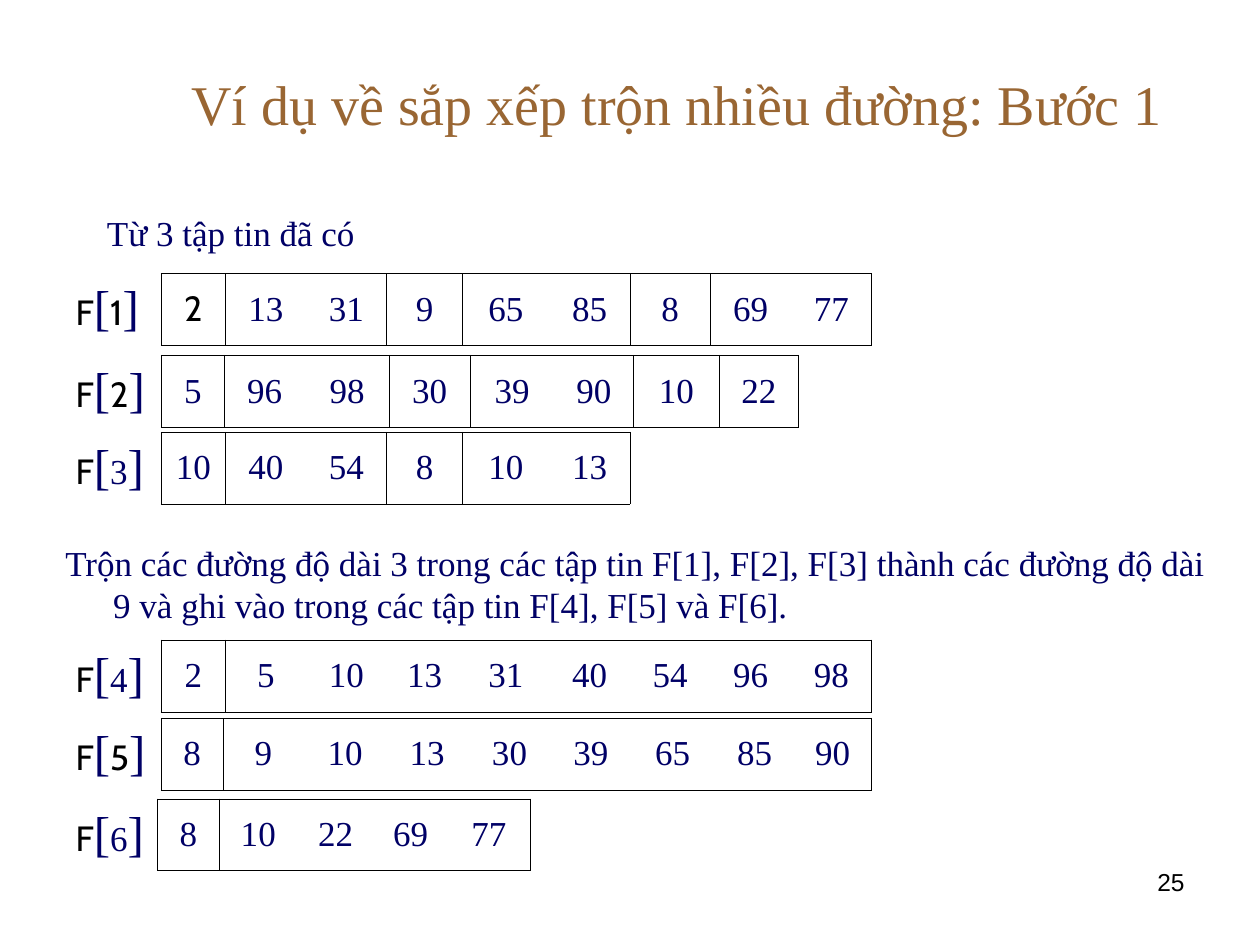
from lxml import etree
from pptx import Presentation
from pptx.dml.color import RGBColor
from pptx.enum.text import MSO_ANCHOR, PP_ALIGN
from pptx.oxml.ns import qn
from pptx.util import Inches, Pt

MIDDLE = MSO_ANCHOR.MIDDLE
TOP = MSO_ANCHOR.TOP
LEFT, CENTER, RIGHT = PP_ALIGN.LEFT, PP_ALIGN.CENTER, PP_ALIGN.RIGHT
JUSTIFY = PP_ALIGN.JUSTIFY
SERIF, SANS, NUMBER_FONT = "Times New Roman", "Cabin", "Arial"
BLACK, NAVY, BROWN = "000000", "000066", "996633"
NO_GRID_STYLE = "{2D5ABB26-0587-4C30-8999-92F81FD0307C}"

WIDTHS = [0.78, 0.51, 0.64, 0.64, 0.6, 0.69, 0.64, 0.64, 0.64, 0.64]
WIDTHS_F2 = [0.78, 0.5, 0.64, 0.67, 0.64, 0.67, 0.63, 0.68, 0.63]
WIDTHS_F5 = [0.78, 0.49, 0.64, 0.66, 0.64, 0.67, 0.62, 0.68, 0.62, 0.62]
WIDTHS_F6 = [0.75, 0.49, 0.62, 0.61, 0.58, 0.66]

FILES = [
    ("1", 2.17, WIDTHS, 3, [2, 13, 31, 9, 65, 85, 8, 69, 77]),
    ("2", 2.82, WIDTHS_F2, 3, [5, 96, 98, 30, 39, 90, 10, 22]),
    ("3", 3.43, WIDTHS, 3, [10, 40, 54, 8, 10, 13]),
    ("4", 5.08, WIDTHS, 9, [2, 5, 10, 13, 31, 40, 54, 96, 98]),
    ("5", 5.7, WIDTHS_F5, 9, [8, 9, 10, 13, 30, 39, 65, 85, 90]),
    ("6", 6.34, WIDTHS_F6, 9, [8, 10, 22, 69, 77]),
]
SANS_DIGITS = "125"


def color(value):
    return RGBColor.from_string(value)


class SlideBuilder:
    border_width = Pt(0.45)
    row_height = 0.57
    text_size = 20
    bracket_size = 28

    def __init__(self, presentation):
        self.slide = presentation.slides.add_slide(presentation.slide_layouts[5])

    def format_font(self, font, size, name=SERIF, value=NAVY):
        font.size = Pt(size)
        font.name = name
        font.color.rgb = color(value)

    def fill_text(self, text_frame, text, size, name, value, alignment, anchor):
        text_frame.word_wrap = True
        text_frame.vertical_anchor = anchor
        text_frame.text = text
        paragraph = text_frame.paragraphs[0]
        paragraph.alignment = alignment
        self.format_font(paragraph.runs[0].font, size, name, value)
        return paragraph

    def title(self, text, left, top, width, height):
        shape = self.slide.shapes.title
        shape.left, shape.top = Inches(left), Inches(top)
        shape.width, shape.height = Inches(width), Inches(height)
        self.fill_text(shape.text_frame, text, 32, SERIF, BROWN, CENTER, MIDDLE)

    def text(self, text, left, top, width, height, size=20, name=SERIF,
             value=NAVY, alignment=LEFT):
        shape = self.slide.shapes.add_textbox(
            Inches(left), Inches(top), Inches(width), Inches(height))
        return self.fill_text(shape.text_frame, text, size, name, value, alignment, TOP)

    def hanging_text(self, text, left, top, width, height, spacing=1.0):
        paragraph = self.text(text, left, top, width, height)
        paragraph.line_spacing = spacing
        properties = paragraph._p.get_or_add_pPr()
        properties.set("marL", str(Inches(0.38)))
        properties.set("indent", str(-Inches(0.38)))

    def borders(self, cell, sides):
        properties = cell._tc.get_or_add_tcPr()
        for side in sides:
            line = etree.SubElement(properties, qn(f"a:ln{side}"), w=str(self.border_width))
            fill = etree.SubElement(line, qn("a:solidFill"))
            etree.SubElement(fill, qn("a:srgbClr"), val=BLACK)
        cell.fill.background()

    def label(self, cell, digit):
        digit_style = (SANS, BLACK) if digit in SANS_DIGITS else (SERIF, NAVY)
        cell.vertical_anchor = MIDDLE
        paragraph = cell.text_frame.paragraphs[0]
        paragraph.alignment = JUSTIFY
        for text, size, name, value in [
            ("F", self.text_size, SANS, BLACK),
            ("[", self.bracket_size, SERIF, NAVY),
            (digit, self.text_size, *digit_style),
            ("]", self.bracket_size, SERIF, NAVY),
        ]:
            run = paragraph.add_run()
            run.text = text
            self.format_font(run.font, size, name, value)
        self.borders(cell, "R")

    def file_row(self, digit, top, widths, run_length, numbers):
        widths = widths[:len(numbers) + 1]
        frame = self.slide.shapes.add_table(
            1, len(widths), Inches(0.5), Inches(top),
            Inches(sum(widths)), Inches(self.row_height))
        table = frame.table
        table.first_row = table.horz_banding = False
        table._tbl.tblPr.find(qn("a:tableStyleId")).text = NO_GRID_STYLE
        for column, width in zip(table.columns, widths):
            column.width = Inches(width)
        self.label(table.cell(0, 0), digit)
        for index, number in enumerate(numbers, start=1):
            cell = table.cell(0, index)
            cell.vertical_anchor = MIDDLE
            cell.text_frame.text = str(number)
            paragraph = cell.text_frame.paragraphs[0]
            paragraph.alignment = CENTER
            name, value = (SANS, BLACK) if (digit, index) == ("1", 1) else (SERIF, NAVY)
            self.format_font(paragraph.runs[0].font, self.text_size, name, value)
            starts_run = index % run_length == 1
            ends_run = index % run_length == 0 or index == len(numbers)
            self.borders(cell, "L" * starts_run + "R" * ends_run + "TB")


def main():
    presentation = Presentation()
    presentation.slide_width = Inches(10)
    presentation.slide_height = Inches(7.5)
    builder = SlideBuilder(presentation)
    builder.title("Ví dụ về sắp xếp trộn nhiều đường: Bước 1", 1.25, 0.3, 8.25, 1.03)
    builder.hanging_text("Từ 3 tập tin đã có", 0.75, 1.67, 8.75, 0.41, spacing=0.9)
    builder.hanging_text(
        "Trộn các đường độ dài 3 trong các tập tin F[1], F[2], F[3] thành các "
        "đường độ dài 9 và ghi vào trong các tập tin F[4], F[5] và F[6].",
        0.42, 4.25, 9.25, 0.5)
    for file_values in FILES:
        builder.file_row(*file_values)
    builder.text("25", 7.17, 6.83, 2.33, 0.52, 14, NUMBER_FONT, BLACK, RIGHT)
    presentation.save("out.pptx")


if __name__ == "__main__":
    main()
